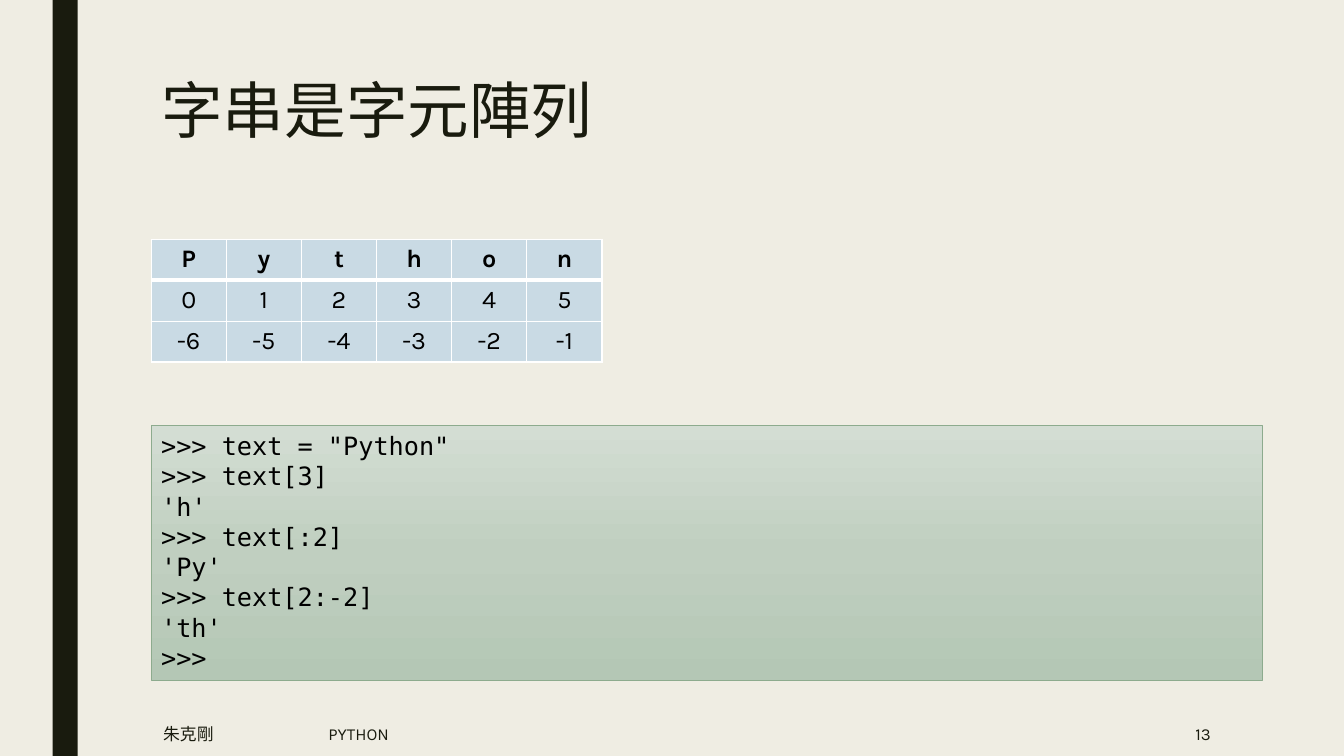
from copy import deepcopy
from dataclasses import dataclass

from lxml.etree import SubElement
from pptx import Presentation
from pptx.dml.color import RGBColor
from pptx.enum.shapes import MSO_SHAPE
from pptx.enum.text import MSO_ANCHOR, MSO_AUTO_SIZE, PP_ALIGN
from pptx.oxml.ns import qn
from pptx.util import Pt


@dataclass(frozen=True)
class Theme:
    back: str = "EFEDE3"
    dark: str = "191B0E"
    ink: str = "000000"
    cell: str = "C9DAE4"
    rule: str = "FFFFFF"
    edge: str = "8DAB8E"
    fade: tuple = ("D3DDD3", "C0CFC0", "B4C7B5")
    sans: str = "Karla"
    mono: str = "DejaVu Sans Mono"
    head: int = 44
    body: int = 18
    foot: int = 12


def tint(code):
    return RGBColor.from_string(code)


def apply(item, form):
    for name, value in form.items():
        setattr(item, name, value)


def place(item, box):
    apply(item, dict(zip(("left", "top", "width", "height"), map(Pt, box))))


class Deck:
    def __init__(self, theme, size):
        self.theme = theme
        self.show = Presentation()
        apply(self.show, dict(zip(("slide_width", "slide_height"), map(Pt, size))))
        self.slide = self.show.slides.add_slide(self.show.slide_layouts[5])
        fill = self.slide.background.fill
        fill.solid()
        fill.fore_color.rgb = tint(theme.back)

    def letter(self, frame, text, size, color, face=None, bold=False,
               align=PP_ALIGN.LEFT, space=None, **form):
        apply(frame, {"word_wrap": True, **form})
        frame.text = text
        for para in frame.paragraphs:
            apply(para, {"alignment": align, "line_spacing": space})
            for run in para.runs:
                apply(run.font, {"name": face or self.theme.sans,
                                 "size": Pt(size), "bold": bold})
                run.font.color.rgb = tint(color)

    def title(self, box, text):
        item = self.slide.shapes.title
        place(item, box)
        self.letter(item.text_frame, text, self.theme.head, self.theme.dark,
                    space=0.89, vertical_anchor=MSO_ANCHOR.TOP,
                    auto_size=MSO_AUTO_SIZE.NONE)

    def block(self, box):
        item = self.slide.shapes.add_shape(MSO_SHAPE.RECTANGLE, *map(Pt, box))
        item.shadow.inherit = False
        item.line.fill.background()
        return item

    def bar(self, box):
        fill = self.block(box).fill
        fill.solid()
        fill.fore_color.rgb = tint(self.theme.dark)

    def code(self, box, text):
        item = self.block(box)
        item.fill.gradient()
        item.fill.gradient_angle = 270
        first = next(item._element.spPr.iter(qn("a:gs")))
        first.addnext(deepcopy(first))
        for stop, spot, color in zip(item.fill.gradient_stops,
                                     (0, 0.5, 1), self.theme.fade):
            stop.color.rgb = tint(color)
            stop.position = spot
        item.line.color.rgb = tint(self.theme.edge)
        item.line.width = Pt(0.5)
        self.letter(item.text_frame, text, self.theme.body, self.theme.ink,
                    face=self.theme.mono, vertical_anchor=MSO_ANCHOR.TOP,
                    auto_size=MSO_AUTO_SIZE.SHAPE_TO_FIT_TEXT)

    def label(self, box, text, align=PP_ALIGN.LEFT):
        item = self.slide.shapes.add_textbox(*map(Pt, box))
        self.letter(item.text_frame, text, self.theme.foot, self.theme.dark,
                    align=align, vertical_anchor=MSO_ANCHOR.MIDDLE)

    def border(self, cell, sides):
        props = cell._tc.get_or_add_tcPr()
        for side, width in sides.items():
            line = SubElement(props, qn(f"a:ln{side}"), w=str(Pt(width)))
            fill = SubElement(line, qn("a:solidFill"))
            SubElement(fill, qn("a:srgbClr"), val=self.theme.rule)

    def table(self, left, top, wide, high, rows):
        count = len(rows[0])
        box = (left, top, wide * count, high * len(rows))
        grid = self.slide.shapes.add_table(len(rows), count, *map(Pt, box)).table
        grid.horz_banding = False
        for col in grid.columns:
            col.width = Pt(wide)
        for y, row in enumerate(rows):
            grid.rows[y].height = Pt(high)
            for x, text in enumerate(row):
                cell = grid.cell(y, x)
                self.border(cell, {"L": 1, "R": 1, "T": 3 if y == 1 else 1,
                                   "B": 3 if y == 0 else 1})
                cell.fill.solid()
                cell.fill.fore_color.rgb = tint(self.theme.cell)
                self.letter(cell.text_frame, text, self.theme.body,
                            self.theme.ink, bold=y == 0, align=PP_ALIGN.CENTER)


WORD = "Python"
COUNT = len(WORD)
CODE = """>>> text = "Python"
>>> text[3]
'h'
>>> text[:2]
'Py'
>>> text[2:-2]
'th'
>>> """

deck = Deck(Theme(), (960, 540))
deck.bar((37.5, 0, 18, 540))
deck.table(108, 171, 53.67, 29.2, [
    list(WORD),
    [str(n) for n in range(COUNT)],
    [str(n) for n in range(-COUNT, 0)],
])
deck.title((108, 54, 756, 117), "字串是字元陣列")
deck.code((108, 304, 793.5, 181.75), CODE)
for left, wide, text, align in (
    (109.5, 95, "朱克剛", PP_ALIGN.LEFT),
    (746, 126, "13", PP_ALIGN.RIGHT),
    (227.5, 495, "PYTHON", PP_ALIGN.LEFT),
):
    deck.label((left, 508.5, wide, 31.5), text, align)
deck.show.save("out.pptx")
